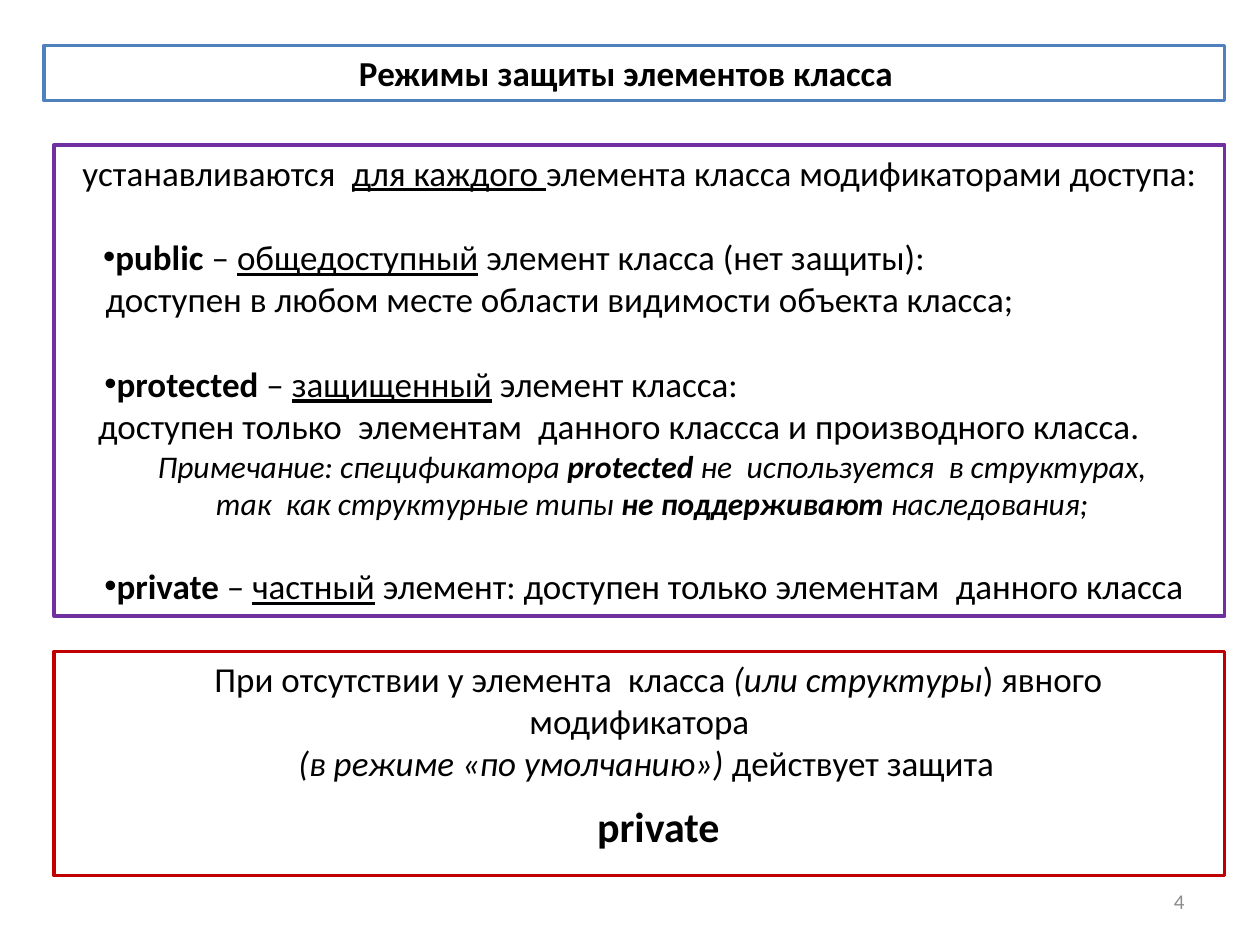
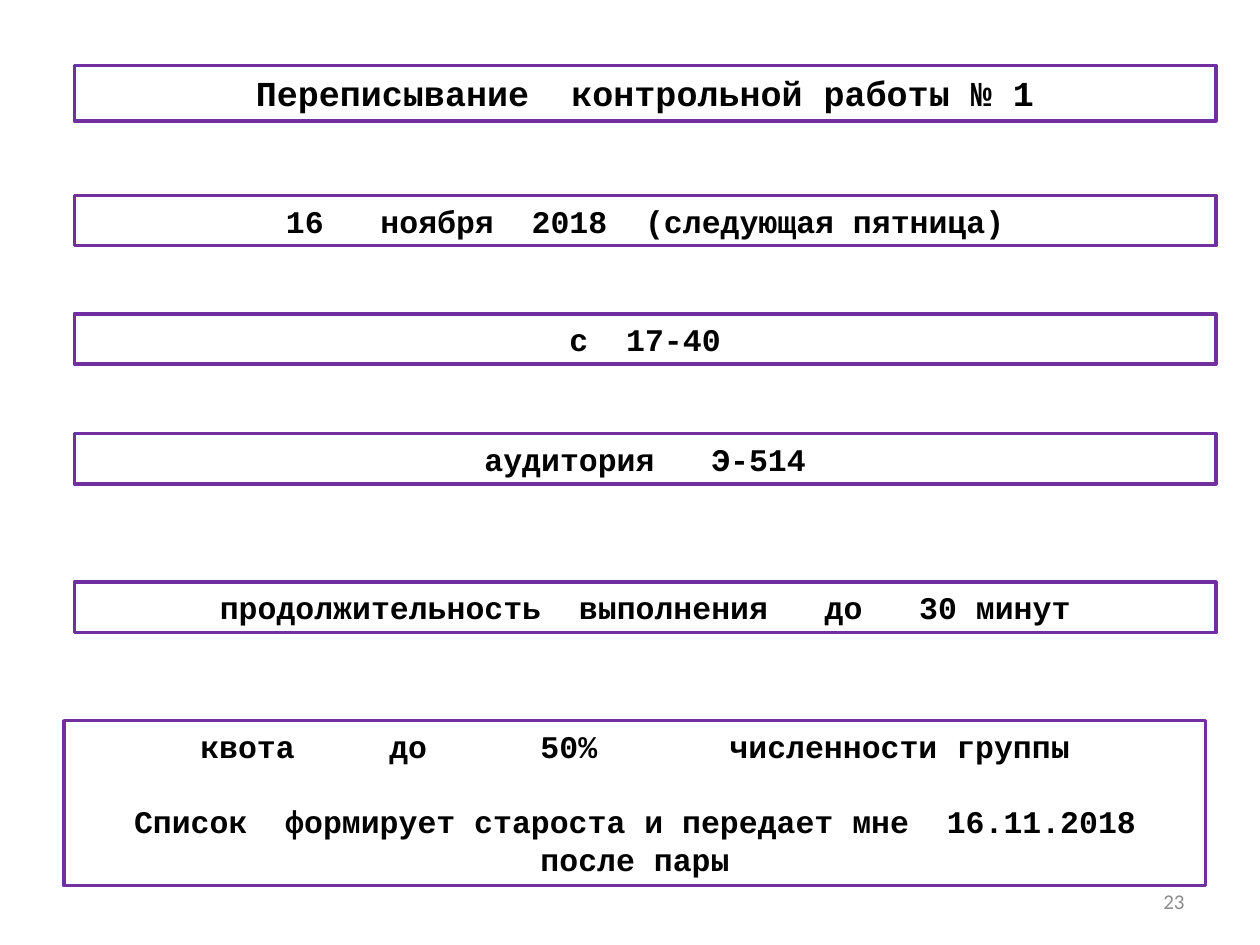
from lxml.etree import SubElement
from pptx import Presentation
from pptx.dml.color import RGBColor
from pptx.enum.shapes import MSO_SHAPE as SHAPE
from pptx.enum.text import MSO_ANCHOR as ANCHOR, PP_ALIGN as ALIGN
from pptx.oxml.ns import qn
from pptx.util import Inches, Pt

BLACK, GRAY = "000000", "8C8C8C"
BLUE, PURPLE, RED = "4F81BD", "7030A0", "C00000"
SANS, MONO = "Calibri", "Courier New"
SPACE_WIDTH = {SANS: 0.23, MONO: 0.6}
BLANK_LINE, MONO_LINE, SMALL_LINE = 24.4, 21.5, 9.8
BAND_HEIGHT, ROW_HEIGHT = 5.87, 5.33


def rgb(value):
    """Turn a hex string into a colour."""
    return RGBColor.from_string(value)


def area(prs, left, top, width, height):
    """Turn percentages of the slide into a position and size."""
    w, h = prs.slide_width / 100, prs.slide_height / 100
    return [round(n) for n in (left * w, top * h, width * w, height * h)]


def pieces(text):
    """Split text with marks such as <3> into words and wide spaces."""
    first, *rest = text.split("<")
    yield first, 1
    for part in rest:
        count, word = part.split(">")
        yield " ", int(count)
        yield word, 1


def add_run(p, text, style, size, font, color):
    """Add a run whose style letters stand for bold, italic and underline."""
    r = p.add_run()
    r.text = text
    r.font.name, r.font.size = font, Pt(size)
    r.font.color.rgb = rgb(color)
    r.font.bold, r.font.italic = "b" in style, "i" in style
    r.font.underline = "u" in style
    return r


def write(p, runs, size=20, font=SANS, color=BLACK, align=ALIGN.CENTER,
          before=0, margin=0, first=0, bullet=False):
    """Fill a paragraph with (text, style) runs; a line feed breaks the line."""
    p.alignment = align
    p.space_before = Pt(before)
    pPr = p._p.get_or_add_pPr()
    pPr.set("marL", str(Inches(margin)))
    pPr.set("indent", str(Inches(first)))
    if bullet:
        SubElement(pPr, qn("a:buFont"), typeface="Arial")
        SubElement(pPr, qn("a:buChar"), char="•")
    for text, style in runs:
        for i, line in enumerate(text.split("\n")):
            if i:
                p.add_line_break()
            for piece, count in pieces(line):
                if not piece:
                    continue
                r = add_run(p, piece, style, size, font, color)
                if count > 1:
                    extra = (count - 1) * SPACE_WIDTH[font] * size * 100
                    r._r.get_or_add_rPr().set("spc", str(round(extra)))


def add_frame(prs, slide, box, line, paragraphs):
    """Draw an outlined box with a list of (runs, options) paragraphs."""
    sp = slide.shapes.add_shape(SHAPE.RECTANGLE, *area(prs, *box))
    sp.shadow.inherit = False
    sp.fill.background()
    sp.line.color.rgb, sp.line.width = rgb(line), Pt(2)
    tf = sp.text_frame
    tf.word_wrap, tf.vertical_anchor = True, ANCHOR.TOP
    for i, (runs, options) in enumerate(paragraphs):
        write(tf.add_paragraph() if i else tf.paragraphs[0], runs, **options)
    return sp


def add_slide(prs, number):
    """Add a blank slide with its page number."""
    slide = prs.slides.add_slide(prs.slide_layouts[6])
    sp = slide.shapes.add_textbox(*area(prs, 71.7, 92.67, 23.3, ROW_HEIGHT))
    tf = sp.text_frame
    tf.word_wrap, tf.vertical_anchor = True, ANCHOR.MIDDLE
    write(tf.paragraphs[0], [(number, "")], 12, color=GRAY, align=ALIGN.RIGHT)
    return slide


def access_slide(prs):
    """Build the slide on access modifiers."""
    slide = add_slide(prs, "4")
    item = dict(align=ALIGN.LEFT, before=BLANK_LINE, bullet=True)
    note = dict(size=18, first=0.2)
    add_frame(prs, slide, (4.3, 15.33, 92.9, 49.87), PURPLE, [
        ([("устанавливаются<2>", ""), ("для каждого ", "u"),
          ("элемента класса модификаторами доступа:", "")], {}),
        ([("public", "b"), (" – ", ""), ("общедоступный", "u"),
          (" элемент класса (нет защиты):\nдоступен в любом месте "
           "области видимости объекта класса;", "")],
         dict(item, margin=0.31, first=-0.02)),
        ([("protected", "b"), (" – ", ""), ("защищенный", "u"),
          (" элемент класса:\nдоступен только<2>элементам<2>данного "
           "классса и производного класса.", "")],
         dict(item, margin=0.25, first=0.05)),
        ([("Примечание: спецификатора ", "i"), ("protected", "bi"),
          (" не<2>используется<2>в структурах,", "i")], note),
        ([("так<2>как структурные типы ", "i"), ("не поддерживают ", "bi"),
          ("наследования;", "i")], note),
        ([("private", "b"), (" – ", ""), ("частный", "u"),
          (" элемент: доступен только элементам<2>данного класса", "")],
         dict(item, first=0.3)),
    ])
    title = add_frame(prs, slide, (3.5, 4.8, 93.7, BAND_HEIGHT), BLUE, [
        ([("Режимы защиты элементов класса", "b")], {})])
    title.text_frame.margin_right = Inches(0.23)
    add_frame(prs, slide, (4.3, 68.93, 92.9, 23.73), RED, [
        ([("При отсутствии у элемента<2>класса ", ""),
          ("(или структуры", "i"), (") явного модификатора", "")],
         dict(first=0.3)),
        ([("(в режиме «по умолчанию») ", "i"), ("действует защита", "")],
         dict(first=0.11)),
        ([("private", "b")], dict(size=24, first=0.3, before=SMALL_LINE)),
    ])


def retake_slide(prs):
    """Build the slide announcing the test retake."""
    slide = add_slide(prs, "23")
    left, width = 5.9, 90.6
    mono = dict(size=18, font=MONO)
    add_frame(prs, slide, (left, 6.93, width, BAND_HEIGHT), PURPLE, [
        ([("Переписывание<2>контрольной работы № 1", "b")],
         dict(mono, size=20))])
    rows = [
        (20.67, "16<3>ноября<2>2018<2>(следующая пятница)"),
        (33.2, "с<2>17-40"),
        (45.87, "аудитория<3>Э-514"),
        (61.6, "продолжительность<2>выполнения<3>до<3>30 минут"),
    ]
    for top, text in rows:
        add_frame(prs, slide, (left, top, width, ROW_HEIGHT), PURPLE,
                  [([(text, "b")], mono)])
    add_frame(prs, slide, (5.1, 76.27, width, 17.47), PURPLE, [
        ([("квота<5>до<6>50%<7>численности группы", "b")], mono),
        ([("Список<2>формирует староста и передает мне<2>16.11.2018<2>"
           "после пары", "b")], dict(mono, before=MONO_LINE)),
    ])


def main():
    """Build and save the presentation."""
    prs = Presentation()
    prs.slide_width, prs.slide_height = Inches(10), Inches(7.5)
    access_slide(prs)
    retake_slide(prs)
    prs.save("out.pptx")


main()
